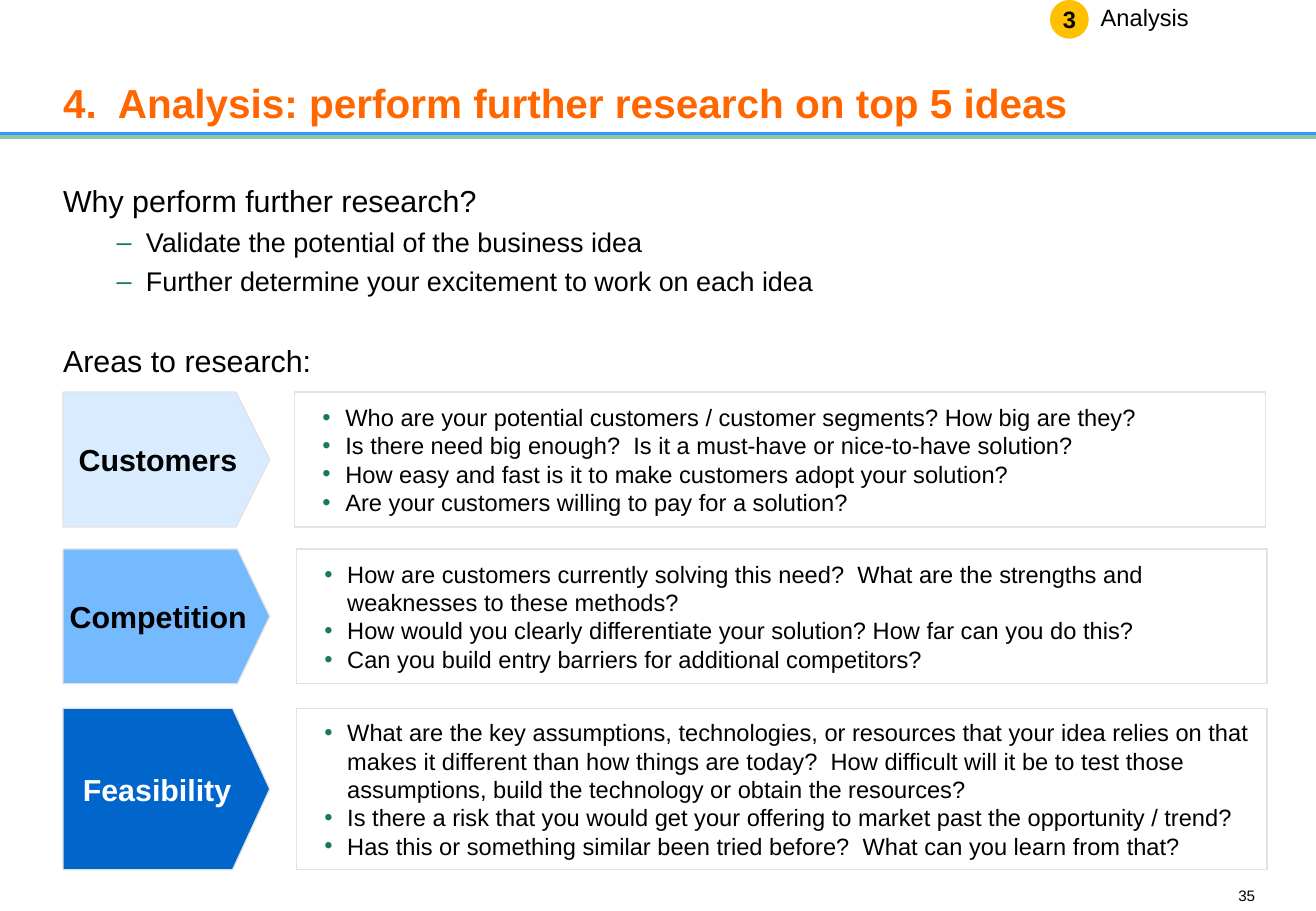
from dataclasses import dataclass

from lxml.etree import SubElement
from pptx import Presentation
from pptx.dml.color import RGBColor
from pptx.enum.shapes import MSO_CONNECTOR, MSO_SHAPE
from pptx.enum.text import MSO_ANCHOR, PP_ALIGN
from pptx.oxml.ns import qn
from pptx.util import Cm, Pt

BLACK = RGBColor(0, 0, 0)
WHITE = RGBColor(0xFF, 0xFF, 0xFF)
ORANGE = RGBColor(0xFF, 0x66, 0x00)
GOLD = RGBColor(0xFF, 0xC0, 0x00)
BLUE = RGBColor(0x33, 0x99, 0xFF)
MINT = RGBColor(0x8E, 0xC6, 0xA1)
GREEN = RGBColor(0x17, 0x7B, 0x57)
GREY = RGBColor(0xE2, 0xE2, 0xE2)
PALE = RGBColor(0xD9, 0xEC, 0xFF)
SKY = RGBColor(0x75, 0xBA, 0xFF)
NAVY = RGBColor(0x00, 0x66, 0xCC)

WIDTH, LEFT = 27.51, 1.32


@dataclass
class Para:
    text: str
    size: float = 14
    color: RGBColor = BLACK
    bold: bool = False
    align: PP_ALIGN = PP_ALIGN.LEFT
    before: float = 0
    bullet: str = ""
    indent: float = 0.81
    hang: float = 0.48


@dataclass
class Area:
    name: str
    fill: RGBColor
    ink: RGBColor
    top: float
    height: float
    tip: float
    left: float
    points: list[str]


AREAS = [
    Area("Customers", PALE, BLACK, 8.2, 2.82, 0.25, 6.16, [
        "Who are your potential customers / customer segments? How big are they?",
        "Is there need big enough?  Is it a must-have or nice-to-have solution?",
        "How easy and fast is it to make customers adopt your solution?",
        "Are your customers willing to pay for a solution?",
    ]),
    Area("Competition", SKY, BLACK, 11.48, 2.82, 0.24, 6.2, [
        "How are customers currently solving this need?  What are the strengths "
        "and weaknesses to these methods?",
        "How would you clearly differentiate your solution? How far can you do this?",
        "Can you build entry barriers for additional competitors?",
    ]),
    Area("Feasibility", NAVY, WHITE, 14.81, 3.38, 0.23, 6.2, [
        "What are the key assumptions, technologies, or resources that your idea "
        "relies on that makes it different than how things are today?  How difficult "
        "will it be to test those assumptions, build the technology or obtain the "
        "resources?",
        "Is there a risk that you would get your offering to market past the "
        "opportunity / trend?",
        "Has this or something similar been tried before?  What can you learn from that?",
    ]),
]


def mark(para, item: Para) -> None:
    """Give a paragraph its hanging bullet."""
    para.level = 1
    props = para._p.get_or_add_pPr()
    props.set("marL", str(int(Cm(item.indent))))
    props.set("indent", str(-int(Cm(item.hang))))
    tint = SubElement(props, qn("a:buClr"))
    SubElement(tint, qn("a:srgbClr")).set("val", str(GREEN))
    SubElement(props, qn("a:buFont")).set("typeface", "Arial")
    SubElement(props, qn("a:buChar")).set("char", item.bullet)


def write(shape, items: list[Para], side: float = 0, edge: float = 0,
          anchor: MSO_ANCHOR = MSO_ANCHOR.TOP, wrap: bool = True) -> None:
    """Fill a shape with paragraphs; side and edge are its insets."""
    frame = shape.text_frame
    frame.word_wrap = wrap
    frame.vertical_anchor = anchor
    frame.margin_left = frame.margin_right = Cm(side)
    frame.margin_top = frame.margin_bottom = Cm(edge)
    for num, item in enumerate(items):
        para = frame.add_paragraph() if num else frame.paragraphs[0]
        para.text = item.text
        para.alignment = item.align
        if item.before:
            para.space_before = Pt(item.before)
        if item.bullet:
            mark(para, item)
        font = para.font
        font.name, font.size, font.bold = "Arial", Pt(item.size), item.bold
        font.color.rgb = item.color


def label(slide, left: float, top: float, width: float, height: float):
    return slide.shapes.add_textbox(Cm(left), Cm(top), Cm(width), Cm(height))


def block(slide, kind: MSO_SHAPE, left: float, top: float, width: float,
          height: float, fill: RGBColor | None, line: RGBColor | None):
    shape = slide.shapes.add_shape(kind, Cm(left), Cm(top), Cm(width), Cm(height))
    shape.shadow.inherit = False
    if fill is None:
        shape.fill.background()
    else:
        shape.fill.solid()
        shape.fill.fore_color.rgb = fill
    if line is None:
        shape.line.fill.background()
    else:
        shape.line.color.rgb = line
        shape.line.width = Pt(0.75)
    return shape


def rule(slide, top: float, color: RGBColor) -> None:
    line = slide.shapes.add_connector(
        MSO_CONNECTOR.STRAIGHT, 0, Cm(top), Cm(WIDTH), Cm(top))
    line.line.color.rgb = color
    line.line.width = Pt(2.25)
    SubElement(line._element.spPr, qn("a:effectLst"))


def draw(slide, area: Area) -> None:
    """Draw one research area: its arrow and its box of questions."""
    arrow = block(slide, MSO_SHAPE.PENTAGON, LEFT, area.top, 4.32, area.height,
                  area.fill, GREY)
    arrow.adjustments[0] = area.tip
    name = Para(area.name, 18, area.ink, True, PP_ALIGN.CENTER)
    write(arrow, [name], 0, 0.25, MSO_ANCHOR.MIDDLE)
    box = block(slide, MSO_SHAPE.RECTANGLE, area.left, area.top, 20.29,
                area.height, None, GREY)
    points = [Para(text, bullet="•") for text in area.points]
    write(box, points, 0.25, 0.25, MSO_ANCHOR.MIDDLE)


def main() -> None:
    deck = Presentation()
    deck.slide_width, deck.slide_height = Cm(WIDTH), Cm(19.05)
    slide = deck.slides.add_slide(deck.slide_layouts[6])

    rule(slide, 2.86, MINT)
    rule(slide, 2.79, BLUE)
    write(label(slide, LEFT, 0.46, 24.89, 2.31),
          [Para("4.  Analysis: perform further research on top 5 ideas",
                24, ORANGE, True)], 0, 0.13, MSO_ANCHOR.BOTTOM)

    reasons = ["Validate the potential of the business idea",
               "Further determine your excitement to work on each idea"]
    write(label(slide, LEFT, 3.82, 24.89, 4.1), [
        Para("Why perform further research?", 18),
        *(Para(text, 16, before=4, bullet="–", indent=1.73, hang=0.61)
          for text in reasons),
        Para("Areas to research:", 18, before=26.3),
    ])

    badge = block(slide, MSO_SHAPE.OVAL, 21.95, 0, 0.81, 0.81, GOLD, None)
    write(badge, [Para("3", bold=True, align=PP_ALIGN.CENTER)],
          anchor=MSO_ANCHOR.MIDDLE, wrap=False)
    write(label(slide, 22.76, -0.18, 2.36, 1.09), [Para("Analysis")],
          0.25, 0.25, wrap=False)

    for area in AREAS:
        draw(slide, area)
    write(label(slide, 25.63, 18.54, 0.61, 0.36),
          [Para("35", 9, align=PP_ALIGN.RIGHT)], wrap=False)
    deck.save("out.pptx")


if __name__ == "__main__":
    main()
